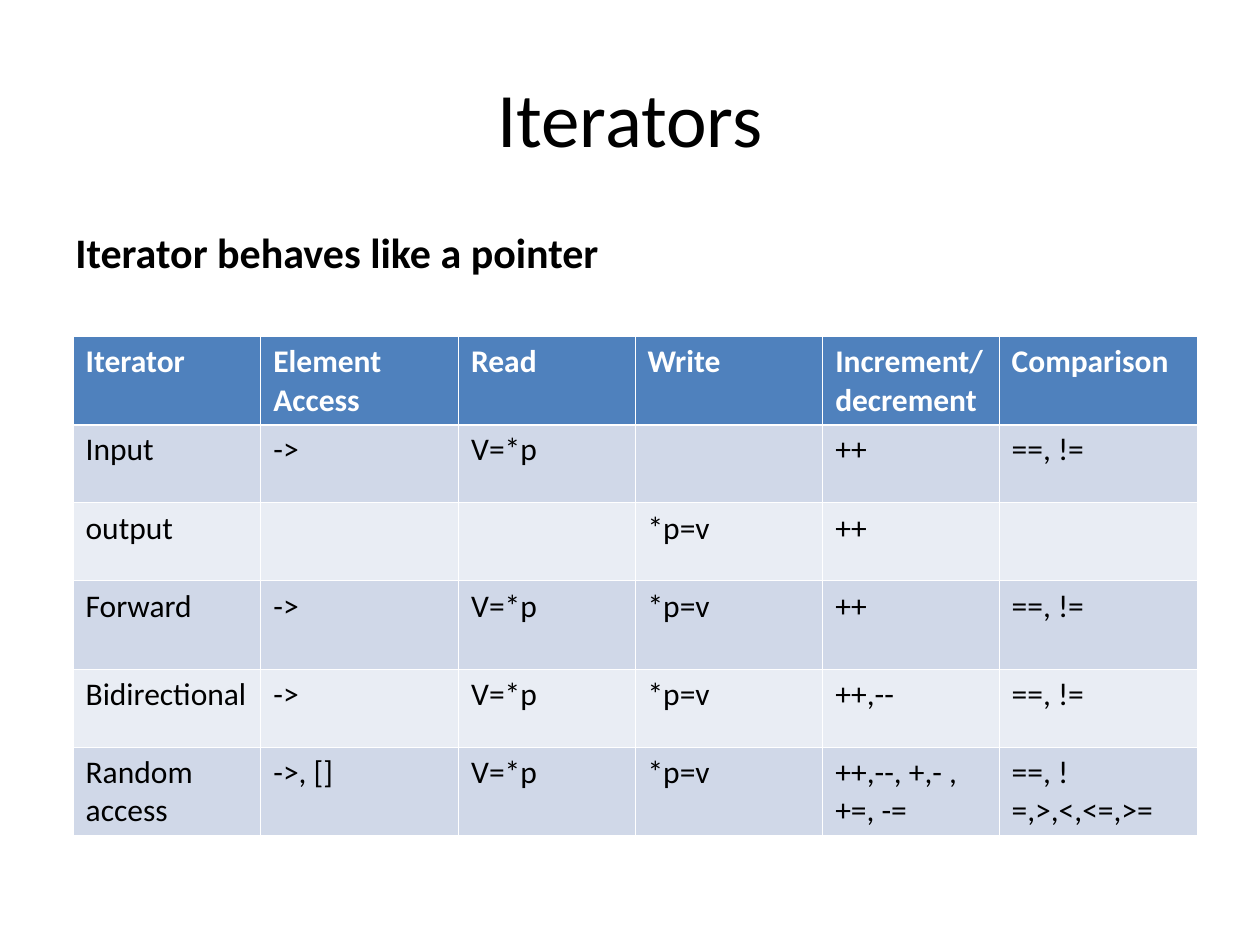
"""Build the slide that compares the iterator categories."""
from dataclasses import dataclass

from lxml.etree import SubElement
from pptx import Presentation
from pptx.dml.color import RGBColor as Rgb
from pptx.enum.text import MSO_ANCHOR as Anchor, PP_ALIGN as Align
from pptx.oxml.ns import qn
from pptx.util import Inches, Pt


@dataclass(frozen=True)
class Theme:
    font: str = "Calibri"
    ink: str = "000000"
    paper: str = "FFFFFF"
    header: str = "4F81BD"
    bands: tuple = ("D0D8E8", "E9EDF4")
    title_size: int = 44
    subtitle_size: int = 24
    cell_size: int = 18
    thin: float = 0.45
    thick: float = 1.47


COLUMN_WIDTHS = (1.49, 1.57, 1.4, 1.49, 1.4, 1.57)
ROW_HEIGHTS = (0.7, 0.62, 0.62, 0.7, 0.62, 0.7)
ITERATOR_ROWS = (
    ("Iterator", "Element Access", "Read", "Write", "Increment/ decrement", "Comparison"),
    ("Input", "->", "V=*p", "", "++", "==, !="),
    ("output", "", "", "*p=v", "++", ""),
    ("Forward", "->", "V=*p", "*p=v", "++", "==, !="),
    ("Bidirectional", "->", "V=*p", "*p=v", "++,--", "==, !="),
    ("Random access", "->, []", "V=*p", "*p=v", "++,--, +,- ,+=, -=", "==, !=,>,<,<=,>="),
)


class SlideBuilder:
    def __init__(self, slide, theme):
        self.slide = slide
        self.theme = theme

    def fill_frame(self, frame, text, size, color, bold=False, align=Align.LEFT):
        paragraph = frame.paragraphs[0]
        paragraph.alignment = align
        run = paragraph.add_run()
        run.text = text
        formats = {"name": self.theme.font, "size": Pt(size), "bold": bold}
        for name, value in formats.items():
            setattr(run.font, name, value)
        run.font.color.rgb = Rgb.from_string(color)

    def text(self, text, left, top, width, height, size, anchor=Anchor.TOP, **style):
        box = self.slide.shapes.add_textbox(*map(Inches, (left, top, width, height)))
        frame = box.text_frame
        for name, value in {"word_wrap": True, "vertical_anchor": anchor}.items():
            setattr(frame, name, value)
        self.fill_frame(frame, text, size, self.theme.ink, **style)

    def borders(self, cell, top, bottom):
        properties = cell._tc.get_or_add_tcPr()
        thin = self.theme.thin
        widths = {"lnL": thin, "lnR": thin, "lnT": top, "lnB": bottom}
        for index, (side, width) in enumerate(widths.items()):
            line = SubElement(properties, qn(f"a:{side}"), w=str(int(Pt(width))))
            fill = SubElement(line, qn("a:solidFill"))
            SubElement(fill, qn("a:srgbClr"), val=self.theme.paper)
            properties.insert(index, line)

    def cell(self, cell, text, row):
        theme = self.theme
        is_header = row == 0
        cell.fill.solid()
        color = theme.header if is_header else theme.bands[(row - 1) % 2]
        cell.fill.fore_color.rgb = Rgb.from_string(color)
        self.borders(cell, theme.thick if row == 1 else theme.thin,
                     theme.thick if is_header else theme.thin)
        if text:
            ink = theme.paper if is_header else theme.ink
            self.fill_frame(cell.text_frame, text, theme.cell_size, ink, bold=is_header)

    def table(self, rows, left, top, widths, heights):
        bounds = map(Inches, (left, top, sum(widths), sum(heights)))
        table = self.slide.shapes.add_table(len(rows), len(widths), *bounds).table
        for column, width in zip(table.columns, widths):
            column.width = Inches(width)
        for row, (texts, height) in enumerate(zip(rows, heights)):
            table.rows[row].height = Inches(height)
            for column, text in enumerate(texts):
                self.cell(table.cell(row, column), text, row)


def main():
    presentation = Presentation()
    presentation.slide_width = Inches(10)
    presentation.slide_height = Inches(7.5)
    theme = Theme()
    slide = presentation.slides.add_slide(presentation.slide_layouts[6])
    builder = SlideBuilder(slide, theme)
    builder.text("Iterators", 0.5, 0.3, 9, 1.25, theme.title_size,
                 anchor=Anchor.MIDDLE, align=Align.CENTER)
    builder.text("Iterator behaves like a pointer", 0.5, 1.75, 9, 0.5,
                 theme.subtitle_size, bold=True)
    builder.table(ITERATOR_ROWS, 0.58, 2.67, COLUMN_WIDTHS, ROW_HEIGHTS)
    presentation.save("out.pptx")


if __name__ == "__main__":
    main()
